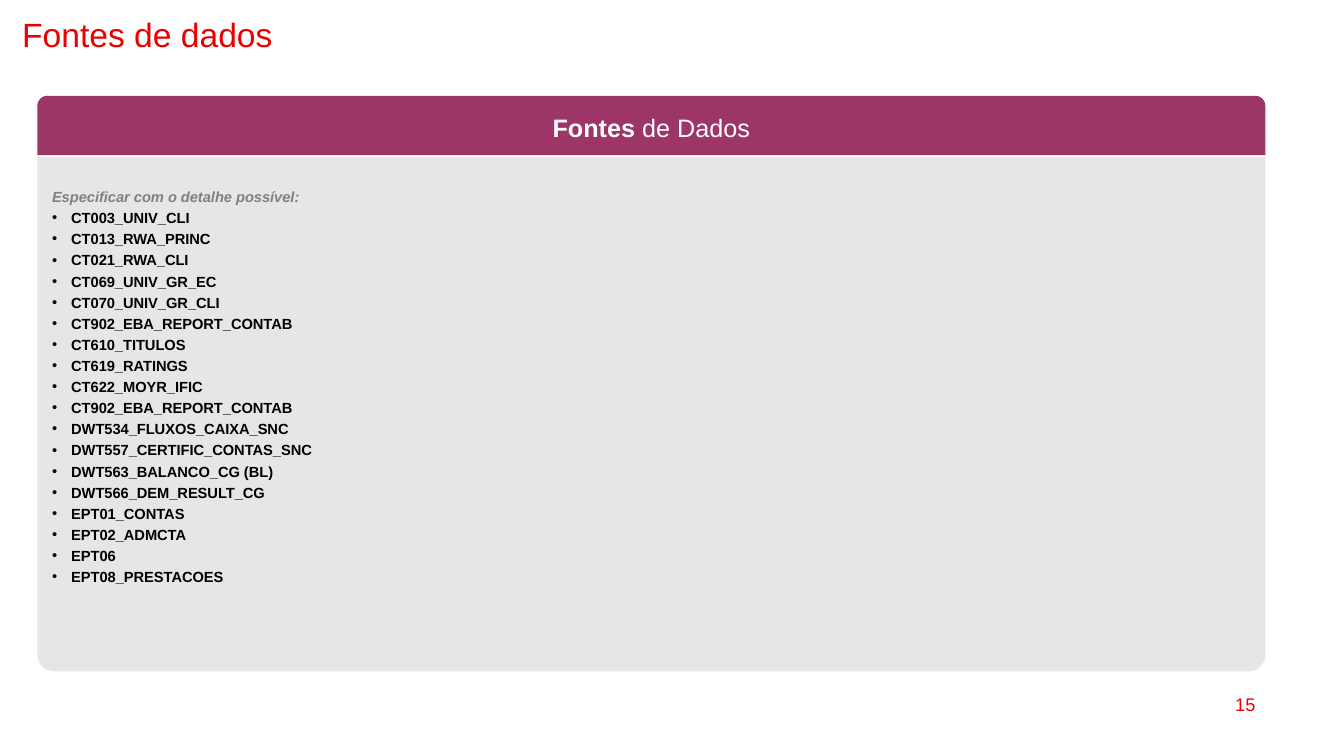
from lxml import etree
from pptx import Presentation
from pptx.dml.color import RGBColor
from pptx.enum.shapes import MSO_SHAPE
from pptx.enum.text import MSO_ANCHOR, MSO_AUTO_SIZE, PP_ALIGN
from pptx.oxml.ns import qn
from pptx.util import Inches, Pt

ROUND_TWO = MSO_SHAPE.ROUND_2_SAME_RECTANGLE
TOP, MIDDLE = MSO_ANCHOR.TOP, MSO_ANCHOR.MIDDLE
LEFT, CENTER, RIGHT = PP_ALIGN.LEFT, PP_ALIGN.CENTER, PP_ALIGN.RIGHT
RED, PLUM, GRAY, MUTED = "EB0000", "9D3566", "E7E6E6", "808080"
BLACK, WHITE = "000000", "FFFFFF"

SOURCES = [
    "CT003_UNIV_CLI", "CT013_RWA_PRINC", "CT021_RWA_CLI", "CT069_UNIV_GR_EC",
    "CT070_UNIV_GR_CLI", "CT902_EBA_REPORT_CONTAB", "CT610_TITULOS",
    "CT619_RATINGS", "CT622_MOYR_IFIC", "CT902_EBA_REPORT_CONTAB",
    "DWT534_FLUXOS_CAIXA_SNC", "DWT557_CERTIFIC_CONTAS_SNC",
    "DWT563_BALANCO_CG (BL)", "DWT566_DEM_RESULT_CG", "EPT01_CONTAS",
    "EPT02_ADMCTA", "EPT06", "EPT08_PRESTACOES",
]


def color(value):
    return RGBColor.from_string(value)


def set_font(font, size, value, bold=None, italic=None):
    font.name = "Arial"
    font.size = Pt(size)
    font.color.rgb = color(value)
    font.bold = bold
    font.italic = italic


def add_bullet(paragraph, indent):
    properties = paragraph._p.get_or_add_pPr()
    properties.set("marL", str(indent))
    properties.set("indent", str(-indent))
    font = etree.SubElement(properties, qn("a:buFont"))
    font.set("typeface", "Arial")
    etree.SubElement(properties, qn("a:buChar")).set("char", "•")


def add_title(slide, left, top, width, height):
    title = slide.shapes.title
    title.left, title.top = Inches(left), Inches(top)
    title.width, title.height = Inches(width), Inches(height)
    frame = title.text_frame
    frame.text = "Fontes de dados"
    frame.auto_size = MSO_AUTO_SIZE.NONE
    frame.vertical_anchor = TOP
    paragraph = frame.paragraphs[0]
    paragraph.alignment = LEFT
    paragraph.line_spacing = 0.9
    set_font(paragraph.font, 24, RED)


def add_panel(slide, left, top, width, height, fill, corners):
    panel = slide.shapes.add_shape(
        ROUND_TWO, Inches(left), Inches(top), Inches(width), Inches(height))
    panel.shadow.inherit = False
    panel.fill.solid()
    panel.fill.fore_color.rgb = color(fill)
    panel.line.fill.background()
    panel.adjustments[0], panel.adjustments[1] = corners
    return panel.text_frame


def add_source_card(slide, left, top, width, height):
    header_height, gap = 0.59, 0.02
    body_top = top + header_height + gap

    # Source list
    body = add_panel(slide, left, body_top, width, top + height - body_top,
                     GRAY, (0, 0.032))
    body.vertical_anchor = TOP
    body.margin_top = Inches(0.27)
    body.text = "\n".join(["Especificar com o detalhe possível:"] + SOURCES)
    for index, paragraph in enumerate(body.paragraphs):
        paragraph.alignment = LEFT
        paragraph.line_spacing = 1.2
        is_source = index > 0
        if is_source:
            add_bullet(paragraph, Inches(0.19))
        set_font(paragraph.font, 10.5, BLACK if is_source else MUTED,
                 bold=True, italic=not is_source)

    # Header band
    header = add_panel(slide, left, top, width, header_height, PLUM, (0.17, 0))
    header.vertical_anchor = MIDDLE
    paragraph = header.paragraphs[0]
    paragraph.alignment = CENTER
    set_font(paragraph.font, 18, WHITE)
    for text, bold in (("Fontes", True), (" de Dados", False)):
        run = paragraph.add_run()
        run.text = text
        run.font.bold = bold


def add_page_number(slide, left, top, width, height):
    box = slide.shapes.add_textbox(
        Inches(left), Inches(top), Inches(width), Inches(height))
    frame = box.text_frame
    frame.word_wrap = True
    frame.vertical_anchor = MIDDLE
    frame.text = "15"
    paragraph = frame.paragraphs[0]
    paragraph.alignment = RIGHT
    set_font(paragraph.font, 13, RED)


def main():
    presentation = Presentation()
    presentation.slide_width = Inches(13.33)
    presentation.slide_height = Inches(7.5)
    slide = presentation.slides.add_slide(presentation.slide_layouts[5])
    add_title(slide, 0.12, 0.13, 6.76, 0.59)
    add_source_card(slide, 0.37, 0.95, 12.18, 5.71)
    add_page_number(slide, 9.55, 6.79, 3, 0.4)
    presentation.save("out.pptx")


if __name__ == "__main__":
    main()
